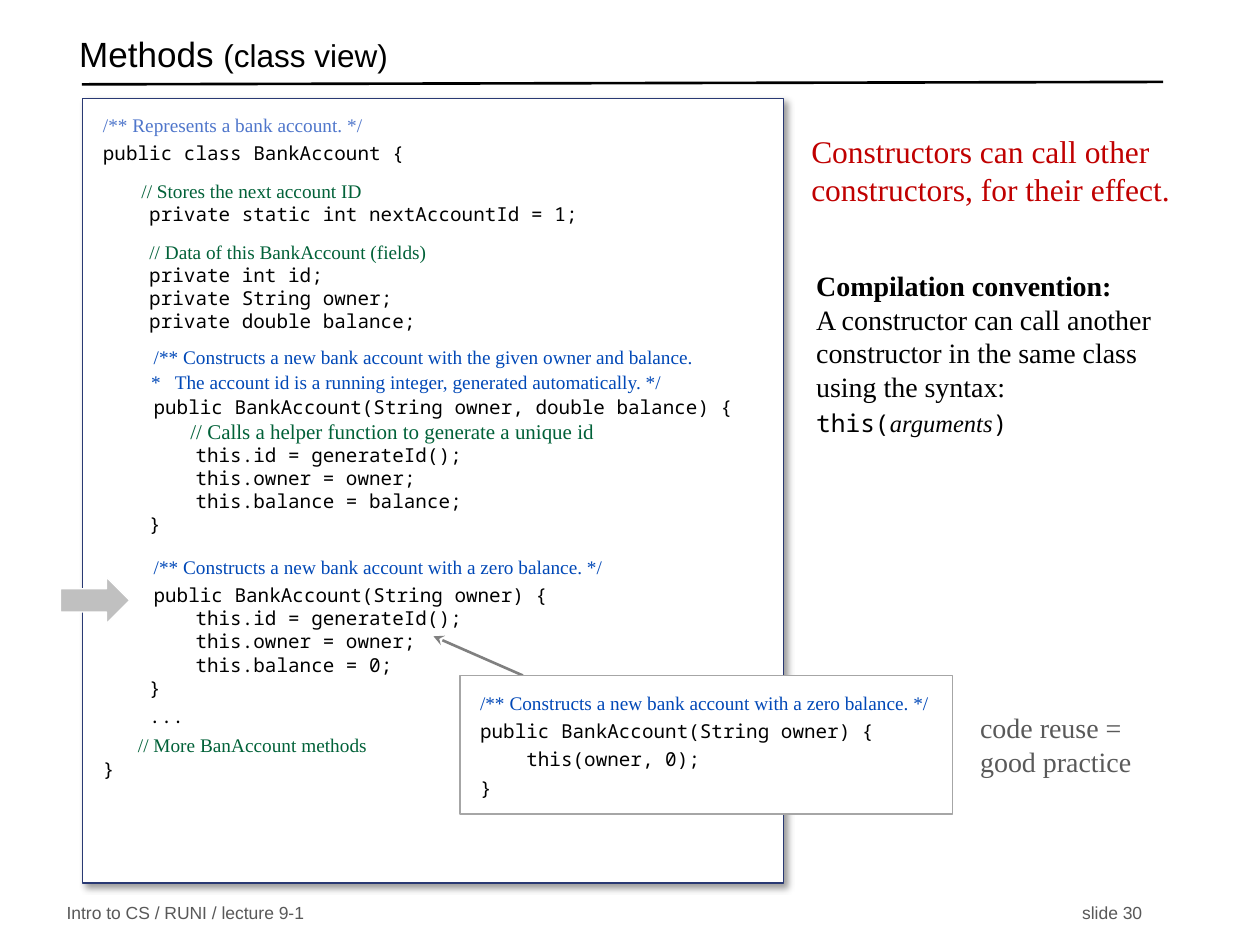
from lxml import etree
from pptx import Presentation
from pptx.dml.color import RGBColor
from pptx.enum.shapes import MSO_CONNECTOR as Connector, MSO_SHAPE as Shape
from pptx.enum.text import MSO_ANCHOR as Anchor
from pptx.oxml.ns import qn
from pptx.util import Pt

SERIF, MONO, SANS = "Times New Roman", "Noto Sans Mono", "Arial"
BLACK, GRAY = "000000", "595959"

# Text styles: font, size, colour
CODE = (MONO, 11, BLACK)
DOC = (SERIF, 11, "0048B7")
CLASS_DOC = (SERIF, 11, "4F76CB")
NOTE = (SERIF, 11, "006138")
BIG_NOTE = (SERIF, 12, "006138")

ZERO_BALANCE_DOC = "/** Constructs a new bank account with a zero balance. */"

# Code lines: text, style, space before, indent, line spacing
CLASS_CODE = [
    ("/** Represents a bank account. */", CLASS_DOC),
    ("public class BankAccount {", CODE, 3),
    ("// Stores the next account ID", NOTE, 8, 22),
    ("    private static int nextAccountId = 1;", CODE),
    ("// Data of this BankAccount (fields)", NOTE, 8.6, 26.5),
    ("    private int id;", CODE),
    ("    private String owner;", CODE),
    ("    private double balance;", CODE),
    (ZERO_BALANCE_DOC.replace("a zero balance. */", "the given owner and balance."),
     DOC, 7.5, 29),
    ("*   The account id is a running integer, generated automatically. */",
     DOC, 0.8, 27.5),
    ("    public BankAccount(String owner, double balance) {", CODE, 1, 2.5),
    ("// Calls a helper function to generate a unique id", BIG_NOTE, 0, 50),
    ("        this.id = generateId();", CODE),
    ("        this.owner = owner;", CODE),
    ("        this.balance = balance;", CODE),
    ("    }", CODE),
    (ZERO_BALANCE_DOC, DOC, 8, 29, 16.2),
    ("    public BankAccount(String owner) {", CODE, 0, 2.5, 16.2),
    ("        this.id = generateId();", CODE),
    ("        this.owner = owner;", CODE),
    ("        this.balance = 0;", CODE),
    ("    }", CODE),
    ("    ...", CODE, 3),
    ("// More BanAccount methods", NOTE, 3.6, 20),
    ("}", CODE),
]
REUSE_CODE = [
    (ZERO_BALANCE_DOC, DOC, 0, 0, 16.2),
    ("public BankAccount(String owner) {", CODE, 0, 0, 16.2),
    ("    this(owner, 0);", CODE, 0, 0, 16.2),
    ("}", CODE, 0, 0, 16.2),
]


def color(hex_string):
    return RGBColor.from_string(hex_string)


def set_font(font, style):
    name, size, hex_string = style
    font.name, font.size = name, Pt(size)
    font.color.rgb = color(hex_string)


def set_frame(frame, left, top, right, bottom, anchor=Anchor.TOP):
    frame.word_wrap = True
    frame.vertical_anchor = anchor
    frame.margin_left, frame.margin_top = Pt(left), Pt(top)
    frame.margin_right, frame.margin_bottom = Pt(right), Pt(bottom)


def add_text_box(page, box, anchor=Anchor.TOP):
    frame = page.shapes.add_textbox(*map(Pt, box)).text_frame
    set_frame(frame, 7.2, 3.6, 7.2, 3.6, anchor)
    return frame


def add_label(page, box, text, style):
    para = add_text_box(page, box).paragraphs[0]
    para.text = text
    set_font(para.font, style)


def add_shape(page, kind, box, fill, line):
    shape = page.shapes.add_shape(kind, *map(Pt, box))
    shape.shadow.inherit = False
    shape.fill.solid()
    shape.fill.fore_color.rgb = color(fill)
    shape.line.color.rgb = color(line)
    shape.line.width = Pt(0.75)
    return shape


def add_line(page, start, end, hex_string):
    line = page.shapes.add_connector(Connector.STRAIGHT, *map(Pt, start + end))
    line.line.color.rgb = color(hex_string)
    line.line.width = Pt(1.5)
    etree.SubElement(line._element.spPr, qn("a:effectLst"))
    return line


def add_drop_shadow(shape):
    effects = shape._element.spPr.find(qn("a:effectLst"))
    shadow = etree.SubElement(effects, qn("a:outerShdw"), blurRad=str(Pt(4)),
                              dist=str(Pt(3)), dir="2700000", algn="tl", rotWithShape="0")
    black = etree.SubElement(shadow, qn("a:srgbClr"), val=BLACK)
    etree.SubElement(black, qn("a:alpha"), val="40000")


def add_code_panel(page, box, lines, line_color, top_margin):
    panel = add_shape(page, Shape.RECTANGLE, box, "FFFFFF", line_color)
    frame = panel.text_frame
    set_frame(frame, 11.5, top_margin, 0, 0)
    for number, (text, style, *layout) in enumerate(lines):
        before, indent, spacing = layout + [0, 0, None][len(layout):]
        para = frame.add_paragraph() if number else frame.paragraphs[0]
        para.text = text
        para.alignment = 1
        para.space_before = Pt(before)
        if spacing:
            para.line_spacing = Pt(spacing)
        if indent:
            para._p.get_or_add_pPr().set("marL", str(Pt(indent)))
        set_font(para.font, style)
    return panel


def add_header(page, box):
    left, top, width, height = box
    para = add_text_box(page, box, Anchor.MIDDLE).paragraphs[0]
    para.line_spacing = 0.7
    for text, size in (("Methods ", 20), ("(class view)", 18)):
        span = para.add_run()
        span.text = text
        set_font(span.font, (SANS, size, BLACK))
    add_line(page, (left + 8.6, 48.2), (left + 626.4, 46.8), BLACK)


def add_footer(page, box):
    para = add_text_box(page, box, Anchor.MIDDLE).paragraphs[0]
    para.text = "Intro to CS / RUNI / lecture 9-1\tslide 30"
    tabs = etree.SubElement(para._p.get_or_add_pPr(), qn("a:tabLst"))
    etree.SubElement(tabs, qn("a:tab"), pos=str(Pt(box[2] - 14.4)), algn="r")
    set_font(para.font, (SANS, 10, GRAY))


def add_convention(page, box):
    frame = add_text_box(page, box)
    set_frame(frame, 7.2, 0, 0, 3.6)
    rule = frame.paragraphs[0]
    set_font(rule.font, (SERIF, 16, BLACK))
    heading = rule.add_run()
    heading.text = "Compilation convention:"
    heading.font.bold = True
    for text in ("A constructor can call another constructor in the same class",
                 "using the syntax:"):
        rule.add_line_break()
        rule.add_run().text = text
    syntax = frame.add_paragraph()
    syntax.space_before = Pt(3)
    for text, name in (("this(", MONO), ("arguments", SERIF), (")", MONO)):
        span = syntax.add_run()
        span.text = text
        set_font(span.font, (name, 14, BLACK))
        span.font.italic = name == SERIF


def add_reuse_arrow(page, start, end):
    arrow = add_line(page, start, end, "808080")
    etree.SubElement(arrow.line._get_or_add_ln(), qn("a:tailEnd"), type="stealth")


def main():
    deck = Presentation()
    deck.slide_width, deck.slide_height = Pt(720), Pt(540)
    page = deck.slides.add_slide(deck.slide_layouts[6])

    add_header(page, (38.2, 15.8, 619.2, 36))
    add_footer(page, (31, 514, 629, 15.2))
    class_panel = add_code_panel(page, (47.3, 56.2, 400.5, 448.5), CLASS_CODE, "293973", 8.6)
    add_drop_shadow(class_panel)
    add_convention(page, (459.3, 153.5, 233.5, 98))
    add_shape(page, Shape.RIGHT_ARROW, (34.5, 329.8, 39.6, 26.6), "C0C0C0", "FFFFFF")
    add_reuse_arrow(page, (298.8, 386), (247.7, 363.6))
    add_label(page, (553, 402.5, 120.2, 46), "code reuse = good practice", (SERIF, 16, GRAY))
    add_label(page, (456.5, 72, 241.2, 84),
              "Constructors can call other constructors, for their effect.",
              (SERIF, 18, "C00000"))
    add_code_panel(page, (262.8, 386, 281.5, 79.2), REUSE_CODE, "A6A6A6", 5.8)
    deck.save("out.pptx")


if __name__ == "__main__":
    main()
